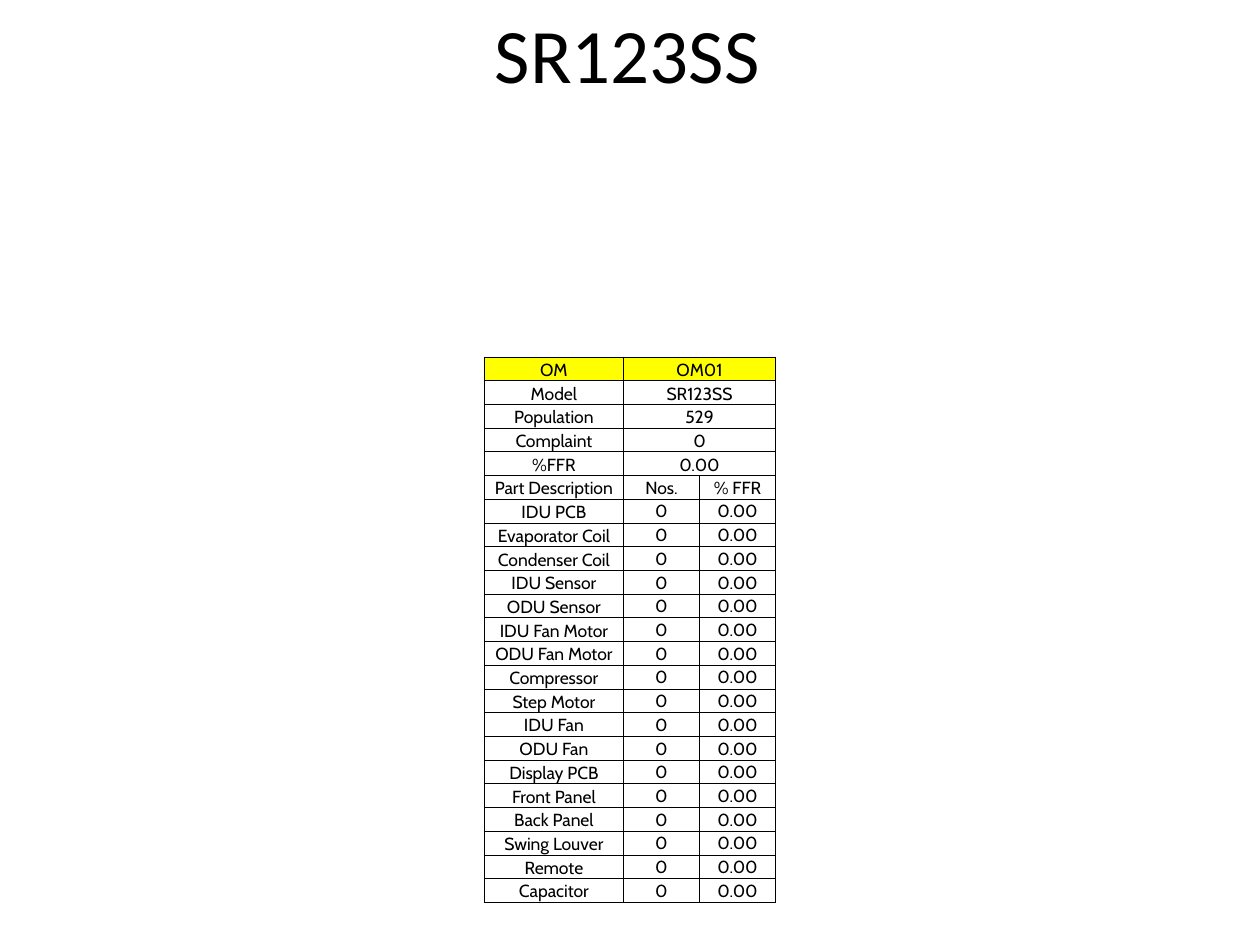
import pptx
import pptx.util
import pptx.dml.color
import pptx.enum.text
import pptx.oxml
import pptx.oxml.ns

Pt = pptx.util.Pt
RGB = pptx.dml.color.RGBColor.from_string
Align = pptx.enum.text.PP_ALIGN
Anchor = pptx.enum.text.MSO_ANCHOR

COLORS = {"text": "000000", "line": "000000", "head": "FFFF00"}

SUMMARY = [("OM", "OM01"), ("Model", "SR123SS"), ("Population", "529"),
           ("Complaint", "0"), ("%FFR", "0.00")]
PARTS = ["IDU PCB", "Evaporator Coil", "Condenser Coil", "IDU Sensor",
         "ODU Sensor", "IDU Fan Motor", "ODU Fan Motor", "Compressor",
         "Step Motor", "IDU Fan", "ODU Fan", "Display PCB", "Front Panel",
         "Back Panel", "Swing Louver", "Remote", "Capacitor"]
WIDTHS = [79.5, 43.5, 43.5]
HEIGHT = 13.55


def write(frame, text, font, size):
    para = frame.paragraphs[0]
    para.alignment = Align.CENTER
    run = para.add_run()
    run.text = text
    run.font.name = font
    run.font.size = Pt(size)
    run.font.color.rgb = RGB(COLORS["text"])


def outline(cell):
    """Draw a thin line on all four sides of a cell."""
    props = cell._tc.get_or_add_tcPr()
    for spot, side in enumerate(("lnL", "lnR", "lnT", "lnB")):
        props.insert(spot, pptx.oxml.parse_xml(
            f'<a:{side} {pptx.oxml.ns.nsdecls("a")} w="{Pt(0.5)}">'
            f'<a:solidFill><a:srgbClr val="{COLORS["line"]}"/></a:solidFill>'
            f'</a:{side}>'))


prs = pptx.Presentation()
prs.slide_width, prs.slide_height = Pt(720), Pt(540)
slide = prs.slides.add_slide(prs.slide_layouts[5])

title = slide.shapes.title
title.left, title.top, title.width, title.height = Pt(34.5), Pt(12), Pt(648), Pt(36)
title.text_frame.vertical_anchor = Anchor.MIDDLE
write(title.text_frame, "SR123SS", "Calibri", 44)

rows = SUMMARY + [("Part Description", "Nos.", "% FFR")]
rows += [(part, "0", "0.00") for part in PARTS]
table = slide.shapes.add_table(
    len(rows), len(WIDTHS), Pt(276.75), Pt(204),
    Pt(sum(WIDTHS)), Pt(HEIGHT * len(rows))).table
for col, width in zip(table.columns, WIDTHS):
    col.width = Pt(width)

for r, row in enumerate(rows):
    table.rows[r].height = Pt(HEIGHT)
    if len(row) == 2:
        table.cell(r, 1).merge(table.cell(r, 2))
    for c in range(len(WIDTHS)):
        cell = table.cell(r, c)
        cell.margin_left = cell.margin_right = cell.margin_top = Pt(0.7)
        cell.margin_bottom = 0
        is_value = c > 0 and r > len(SUMMARY)
        cell.vertical_anchor = Anchor.MIDDLE if is_value else Anchor.BOTTOM
        if r == 0:
            cell.fill.solid()
            cell.fill.fore_color.rgb = RGB(COLORS["head"])
        else:
            cell.fill.background()
        outline(cell)
        if c < len(row):
            write(cell.text_frame, row[c], "Cabin", 10)

prs.save("out.pptx")
